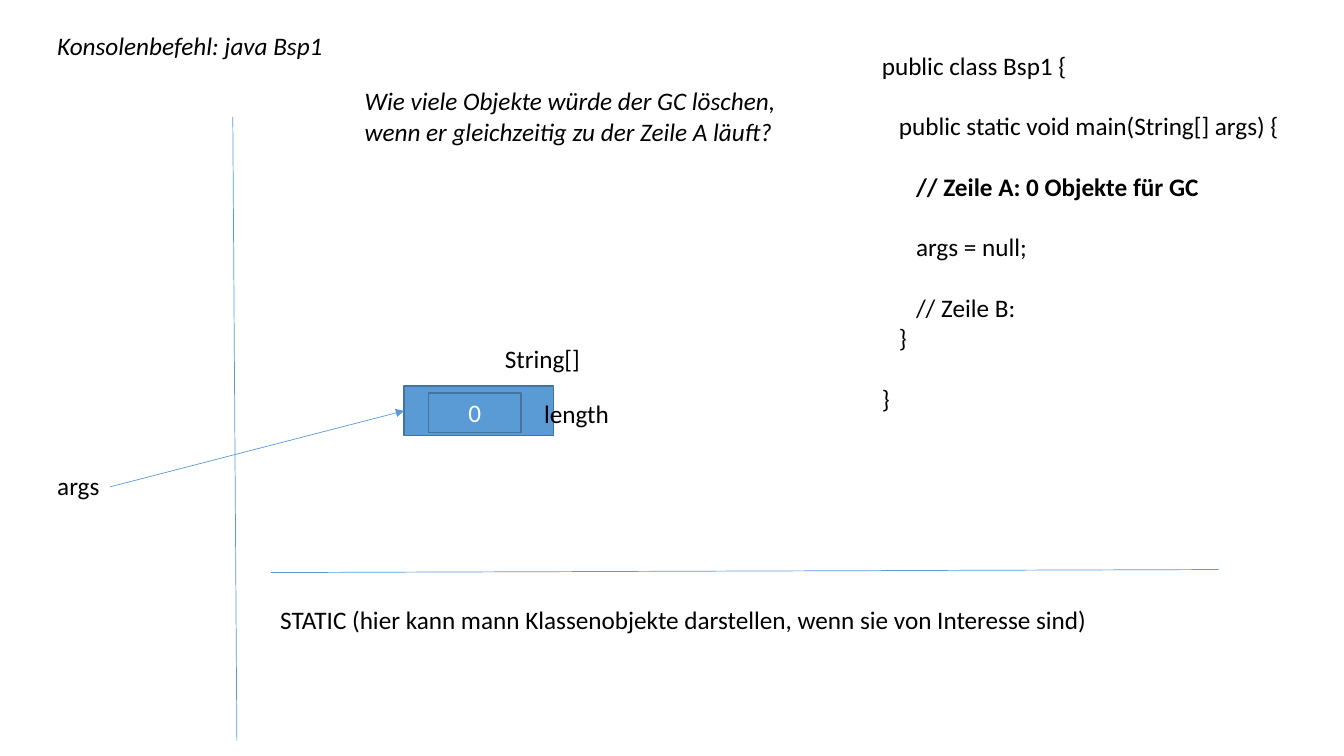
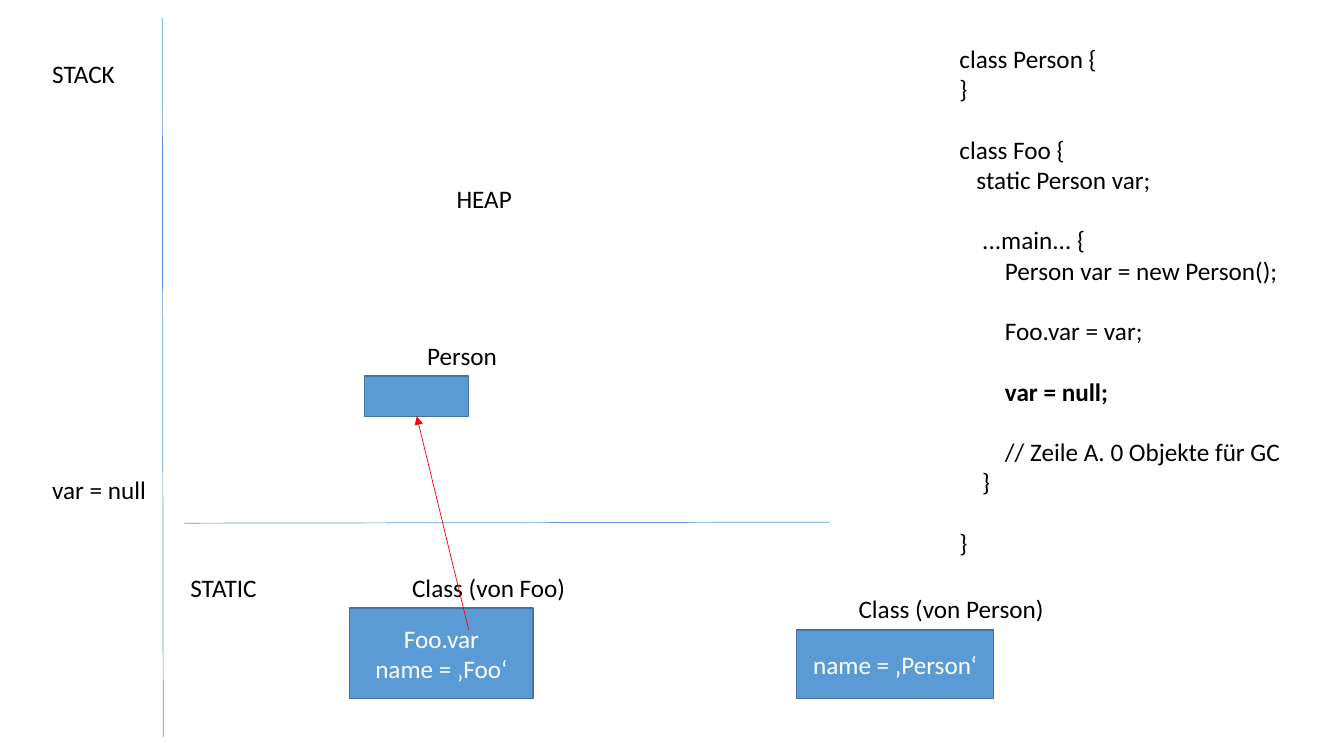
"""Build two slides that sketch stack, heap and static memory beside Java code."""
from pptx import Presentation
from pptx.dml.color import RGBColor
from pptx.enum.shapes import MSO_CONNECTOR as Connector, MSO_SHAPE as Shape
from pptx.enum.text import MSO_ANCHOR as Anchor, MSO_AUTO_SIZE as AutoSize, PP_ALIGN as Align
from pptx.oxml.ns import qn
from pptx.util import Pt
from lxml.etree import SubElement

BLACK = RGBColor(0x00, 0x00, 0x00)
WHITE = RGBColor(0xFF, 0xFF, 0xFF)
BLUE = RGBColor(0x5B, 0x9B, 0xD5)
DARK_BLUE = RGBColor(0x43, 0x73, 0x9E)
RED = RGBColor(0xFF, 0x00, 0x00)
FONT = "Calibri"
SIZE = Pt(18)
LABEL_HEIGHT = 28.8
LINE_HEIGHT = 21.6
SPACE_WIDTH = 4.07
LEFT_SITE, BOTTOM_SITE = 1, 2

ARGS_CODE = """public class Bsp1 {

   public static void main(String[] args) {

      // Zeile A: 0 Objekte für GC

      args = null;

      // Zeile B:
   }

}"""

STATIC_CODE = """class Person {
}

class Foo {
   static Person var;

    ...main... {
        Person var = new Person();

        Foo.var = var;

        var = null;

        // Zeile A. 0 Objekte für GC
    }

}"""


def style(para, color, bold=False, italic=False):
    font = para.font
    font.name, font.size = FONT, SIZE
    font.bold, font.italic = bold, italic
    font.color.rgb = color


def add_label(page, left, top, width, text, italic=False, wrap=False):
    lines = text.split("\n")
    height = LABEL_HEIGHT + (len(lines) - 1) * LINE_HEIGHT
    frame = page.shapes.add_textbox(Pt(left), Pt(top), Pt(width), Pt(height)).text_frame
    frame.word_wrap = wrap
    frame.auto_size = AutoSize.SHAPE_TO_FIT_TEXT
    frame.text = text
    for para in frame.paragraphs:
        style(para, BLACK, italic=italic)


def add_code(page, left, top, width, code, bold_line):
    lines = code.split("\n")
    height = LABEL_HEIGHT + (len(lines) - 1) * LINE_HEIGHT
    frame = page.shapes.add_textbox(Pt(left), Pt(top), Pt(width), Pt(height)).text_frame
    frame.word_wrap = True
    frame.auto_size = AutoSize.SHAPE_TO_FIT_TEXT
    frame.text = "\n".join(line.strip() for line in lines if line)
    filled = [number for number, line in enumerate(lines) if line]
    for para, number in zip(frame.paragraphs, filled):
        line = lines[number]
        style(para, BLACK, bold=para.text == bold_line)
        depth = len(line) - len(line.lstrip())
        para._p.get_or_add_pPr().set("marL", str(Pt(depth * SPACE_WIDTH)))
        if number and not lines[number - 1]:
            para.space_before = Pt(LINE_HEIGHT)


def add_box(page, left, top, width, height, text=""):
    box = page.shapes.add_shape(Shape.RECTANGLE, Pt(left), Pt(top), Pt(width), Pt(height))
    box.shadow.inherit = False
    box.fill.solid()
    box.fill.fore_color.rgb = BLUE
    box.line.color.rgb = DARK_BLUE
    box.line.width = Pt(1)
    if text:
        frame = box.text_frame
        frame.text = text
        frame.vertical_anchor = Anchor.MIDDLE
        for para in frame.paragraphs:
            para.alignment = Align.CENTER
            style(para, WHITE)
    return box


def add_line(page, start, end, color=BLUE):
    points = [Pt(value) for value in (*start, *end)]
    line = page.shapes.add_connector(Connector.STRAIGHT, *points)
    line.line.color.rgb = color
    line.line.width = Pt(0.5)
    SubElement(line._element.spPr, qn("a:effectLst"))
    return line


def add_arrow(page, start, target, site, color=BLUE):
    arrow = add_line(page, start, start, color)
    arrow.end_connect(target, site)
    SubElement(arrow.line._get_or_add_ln(), qn("a:tailEnd"), type="triangle")


def build_args_page(page):
    add_code(page, 622.8, 32.4, 301.7, ARGS_CODE, "// Zeile A: 0 Objekte für GC")
    add_label(page, 33.8, 18, 205.9, "Konsolenbefehl: java Bsp1", italic=True)
    add_line(page, (166.3, 83.5), (169.2, 529.2))
    add_line(page, (193.7, 409), (870.5, 406.8))
    add_label(page, 193, 428.4, 591.8,
              "STATIC (hier kann mann Klassenobjekte darstellen, wenn sie von Interesse sind)")
    add_label(page, 253.4, 57.6, 311,
              "Wie viele Objekte würde der GC löschen,\n"
              "wenn er gleichzeitig zu der Zeile A läuft?", italic=True)
    array_box = add_box(page, 288.7, 275.8, 106.6, 35.3)
    add_label(page, 353.5, 241.9, 68.4, "String[]")
    add_box(page, 306, 280.8, 66.2, 28.1, "0")
    add_label(page, 381.6, 280.8, 61.2, "length")
    add_label(page, 33.8, 332.6, 44.6, "args")
    add_arrow(page, (78.5, 347.8), array_box, LEFT_SITE)


def build_static_page(page):
    add_code(page, 678.2, 27.4, 248.4, STATIC_CODE, "var = null;")
    add_line(page, (115.9, 13), (116.6, 526.3))
    add_line(page, (131.8, 373.7), (592.6, 373))
    add_label(page, 128.9, 405.4, 62.6, "STATIC")
    add_box(page, 568.8, 450, 141.1, 49, "name = ‚Person‘")
    add_label(page, 606.2, 420.5, 148.3, "Class (von Person)")
    add_box(page, 249.8, 434.2, 131, 64.8, "Foo.var\nname = ‚Foo‘")
    add_label(page, 287.3, 405.4, 220.3, "Class (von Foo)", wrap=True)
    add_label(page, 30.2, 335.5, 86.4, "var = null ")
    person_box = add_box(page, 260.6, 268.6, 74.2, 28.8)
    add_label(page, 298.1, 239.8, 64.8, "Person")
    add_arrow(page, (334.8, 450), person_box, BOTTOM_SITE, RED)
    add_label(page, 319, 127.4, 54, "HEAP")
    add_label(page, 30.2, 38.2, 59.8, "STACK")


def main():
    deck = Presentation()
    deck.slide_width, deck.slide_height = Pt(960), Pt(540)
    blank = deck.slide_layouts.get_by_name("Blank")
    for build_page in (build_args_page, build_static_page):
        build_page(deck.slides.add_slide(blank))
    deck.save("out.pptx")


main()
